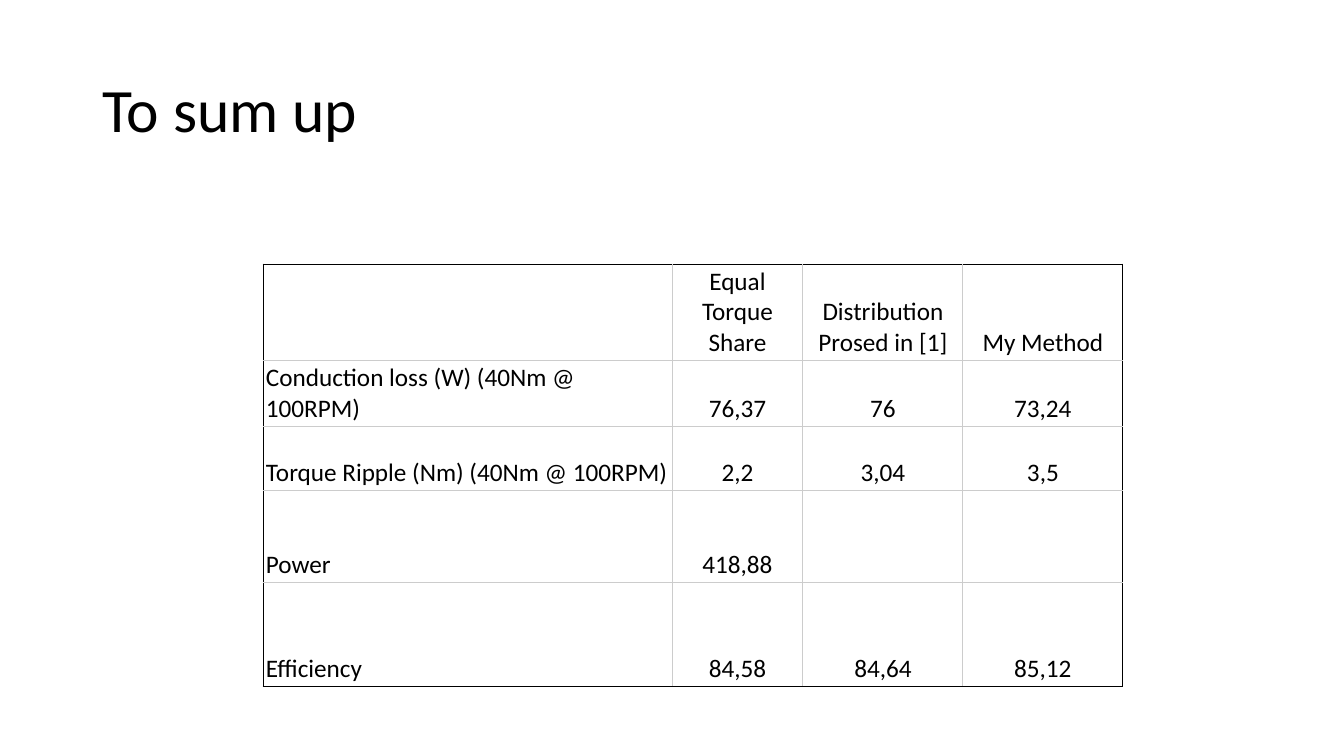
"""Build the summary slide that compares three torque-sharing methods."""
from lxml import etree
from pptx import Presentation
from pptx import util as u
from pptx.dml.color import RGBColor
from pptx.enum import text
from pptx.oxml.ns import qn

COLORS = {"ink": "000000", "grid": "CCCCCC"}
FONT = "Calibri"
COL_WIDTHS = [409, 131, 160, 160]
ROW_HEIGHTS = [96, 66, 64, 92, 104]
RESULTS = [
    ["", "Equal Torque Share", "Distribution Prosed in [1]", "My Method"],
    ["Conduction loss (W) (40Nm @ 100RPM)", "76,37", "76", "73,24"],
    ["Torque Ripple (Nm) (40Nm @ 100RPM)", "2,2", "3,04", "3,5"],
    ["Power", "418,88", "", ""],
    ["Efficiency", "84,58", "84,64", "85,12"],
]


def px(n):
    return u.Emu(round(n * 914400 / 100.8))


def add_run(p, words, size):
    r = p.add_run()
    r.text = words
    r.font.name = FONT
    r.font.size = u.Pt(size)
    r.font.color.rgb = RGBColor.from_string(COLORS["ink"])


prs = Presentation()
prs.slide_width, prs.slide_height = px(1344), px(756)
s = prs.slides.add_slide(prs.slide_layouts[5])

title = s.shapes.title
title.left, title.top, title.width, title.height = px(92), px(40), px(1159), px(146)
tf = title.text_frame
tf.vertical_anchor = text.MSO_ANCHOR.MIDDLE
p = tf.paragraphs[0]
p.alignment = text.PP_ALIGN.LEFT
p.line_spacing = 0.9
add_run(p, "To sum up", 44)

rows, cols = len(RESULTS), len(COL_WIDTHS)
table = s.shapes.add_table(rows, cols, px(263), px(264),
                           px(sum(COL_WIDTHS)), px(sum(ROW_HEIGHTS))).table
table.first_row = table.horz_banding = False
for column, width in zip(table.columns, COL_WIDTHS):
    column.width = px(width)
for row, height in zip(table.rows, ROW_HEIGHTS):
    row.height = px(height)

for i, values in enumerate(RESULTS):
    for j, value in enumerate(values):
        cell = table.cell(i, j)
        cell.margin_left = cell.margin_right = px(3)
        cell.margin_top = cell.margin_bottom = px(2)
        cell.vertical_anchor = text.MSO_ANCHOR.BOTTOM
        cell.fill.background()
        p = cell.text_frame.paragraphs[0]
        p.alignment = text.PP_ALIGN.CENTER if j else text.PP_ALIGN.LEFT
        if value:
            add_run(p, value, 18)

        outer = {"lnL": j == 0, "lnR": j == cols - 1, "lnT": i == 0, "lnB": i == rows - 1}
        tcPr = cell._tc.get_or_add_tcPr()
        for k, (side, is_outer) in enumerate(outer.items()):
            ln = etree.Element(qn(f"a:{side}"), w=str(u.Pt(0.75)))
            fill = etree.SubElement(ln, qn("a:solidFill"))
            etree.SubElement(fill, qn("a:srgbClr"), val=COLORS["ink" if is_outer else "grid"])
            tcPr.insert(k, ln)

prs.save("out.pptx")
